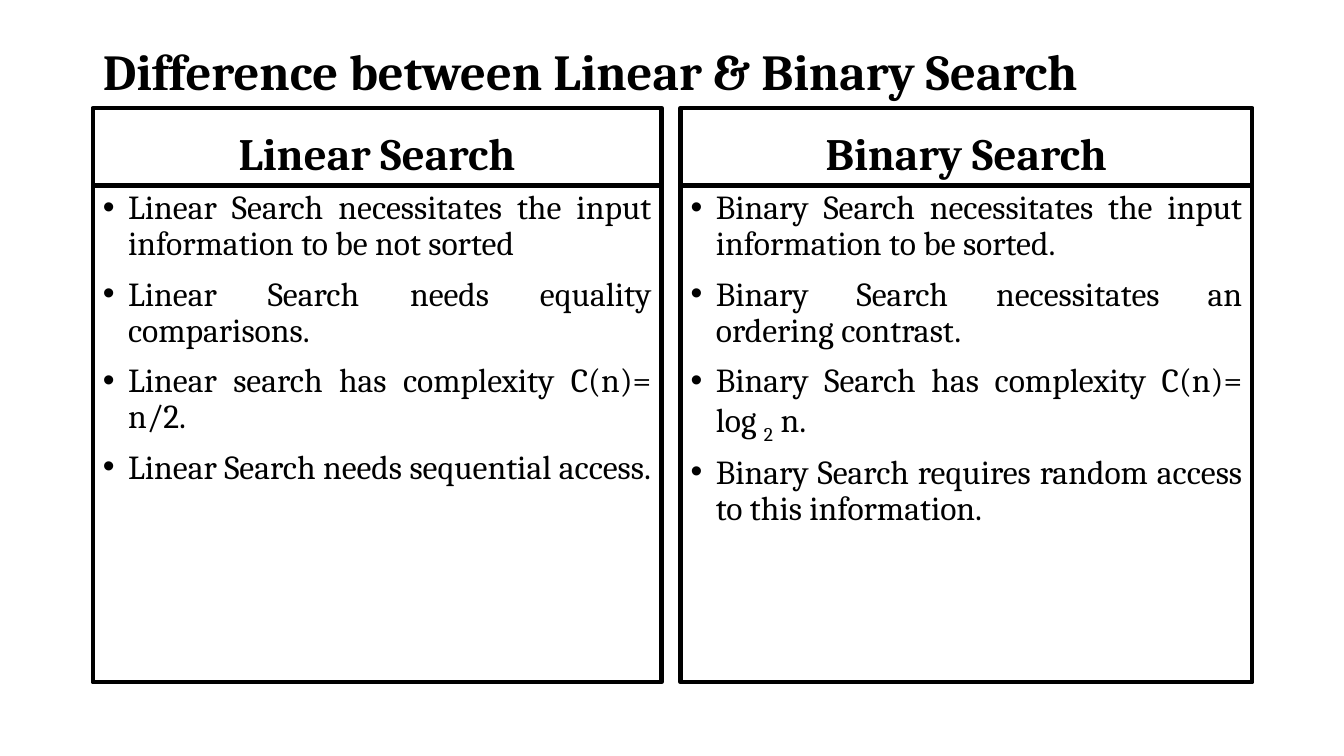
from lxml import etree
from pptx import Presentation
from pptx.dml.color import RGBColor
from pptx.enum.text import MSO_ANCHOR, MSO_AUTO_SIZE, PP_ALIGN
from pptx.oxml.ns import qn
from pptx.util import Inches, Pt

LEFT, CENTER, JUSTIFY = PP_ALIGN.LEFT, PP_ALIGN.CENTER, PP_ALIGN.JUSTIFY
TOP, MIDDLE, BOTTOM = MSO_ANCHOR.TOP, MSO_ANCHOR.MIDDLE, MSO_ANCHOR.BOTTOM
NO_FIT = MSO_AUTO_SIZE.NONE

PAGE_WIDTH, PAGE_HEIGHT = 13.33, 7.5
MARGIN = 0.92
TITLE_TOP, TITLE_HEIGHT = 0.4, 0.67
HEADING_HEIGHT, LIST_HEIGHT = 0.77, 4.93
FONT = "Cambria"
INK = "000000"
SUBSCRIPT_MARK = "|"

TITLE = "Difference between Linear & Binary Search"
COLUMNS = [
    (MARGIN, 5.64, "Linear Search", [
        "Linear Search necessitates the input information to be not sorted",
        "Linear Search needs equality comparisons.",
        "Linear search has complexity C(n)= n/2.",
        "Linear Search needs sequential access.",
    ]),
    (6.75, 5.67, "Binary Search", [
        "Binary Search necessitates the input information to be sorted.",
        "Binary Search necessitates an ordering contrast.",
        "Binary Search has complexity C(n)= log |2| n.",
        "Binary Search requires random access to this information.",
    ]),
]


def color(value):
    return RGBColor.from_string(value)


def place(shape, left, top, width, height, anchor):
    shape.left, shape.top = Inches(left), Inches(top)
    shape.width, shape.height = Inches(width), Inches(height)
    frame = shape.text_frame
    frame.word_wrap = True
    frame.auto_size = NO_FIT
    frame.vertical_anchor = anchor


def outline(shape):
    shape.line.color.rgb = color(INK)
    shape.line.width = Pt(3)


def add_bullet(para):
    properties = para._p.get_or_add_pPr()
    properties.set("marL", str(Inches(0.25)))
    properties.set("indent", str(-Inches(0.25)))
    etree.SubElement(properties, qn("a:buFont")).set("typeface", "Arial")
    etree.SubElement(properties, qn("a:buChar")).set("char", "•")


def write(para, text, size, align, bold=False, space=0):
    para.alignment = align
    para.line_spacing = 0.9
    para.space_before = Pt(space)
    for index, piece in enumerate(text.split(SUBSCRIPT_MARK)):
        span = para.add_run()
        span.text = piece
        span.font.name = FONT
        span.font.size = Pt(size)
        span.font.bold = bold
        span.font.color.rgb = color(INK)
        if index % 2:
            span._r.get_or_add_rPr().set("baseline", "-25000")


def fill_title(box):
    place(box, MARGIN, TITLE_TOP, PAGE_WIDTH - 2 * MARGIN, TITLE_HEIGHT, MIDDLE)
    write(box.text_frame.paragraphs[0], TITLE, 36, LEFT, bold=True)


def fill_column(heading_box, list_box, left, top, width, heading, points):
    place(heading_box, left, top, width, HEADING_HEIGHT, BOTTOM)
    outline(heading_box)
    write(heading_box.text_frame.paragraphs[0], heading, 32, CENTER, bold=True)

    place(list_box, left, top + HEADING_HEIGHT, width, LIST_HEIGHT, TOP)
    outline(list_box)
    frame = list_box.text_frame
    for index, point in enumerate(points):
        para = frame.add_paragraph() if index else frame.paragraphs[0]
        add_bullet(para)
        write(para, point, 24, JUSTIFY, space=10 if index else 0)


def main():
    deck = Presentation()
    deck.slide_width, deck.slide_height = Inches(PAGE_WIDTH), Inches(PAGE_HEIGHT)
    page = deck.slides.add_slide(deck.slide_layouts.get_by_name("Comparison"))
    title, *boxes = page.placeholders
    fill_title(title)
    for pair, column in zip(zip(boxes[::2], boxes[1::2]), COLUMNS):
        left, width, heading, points = column
        fill_column(*pair, left, TITLE_TOP + TITLE_HEIGHT, width, heading, points)
    deck.save("out.pptx")


if __name__ == "__main__":
    main()
